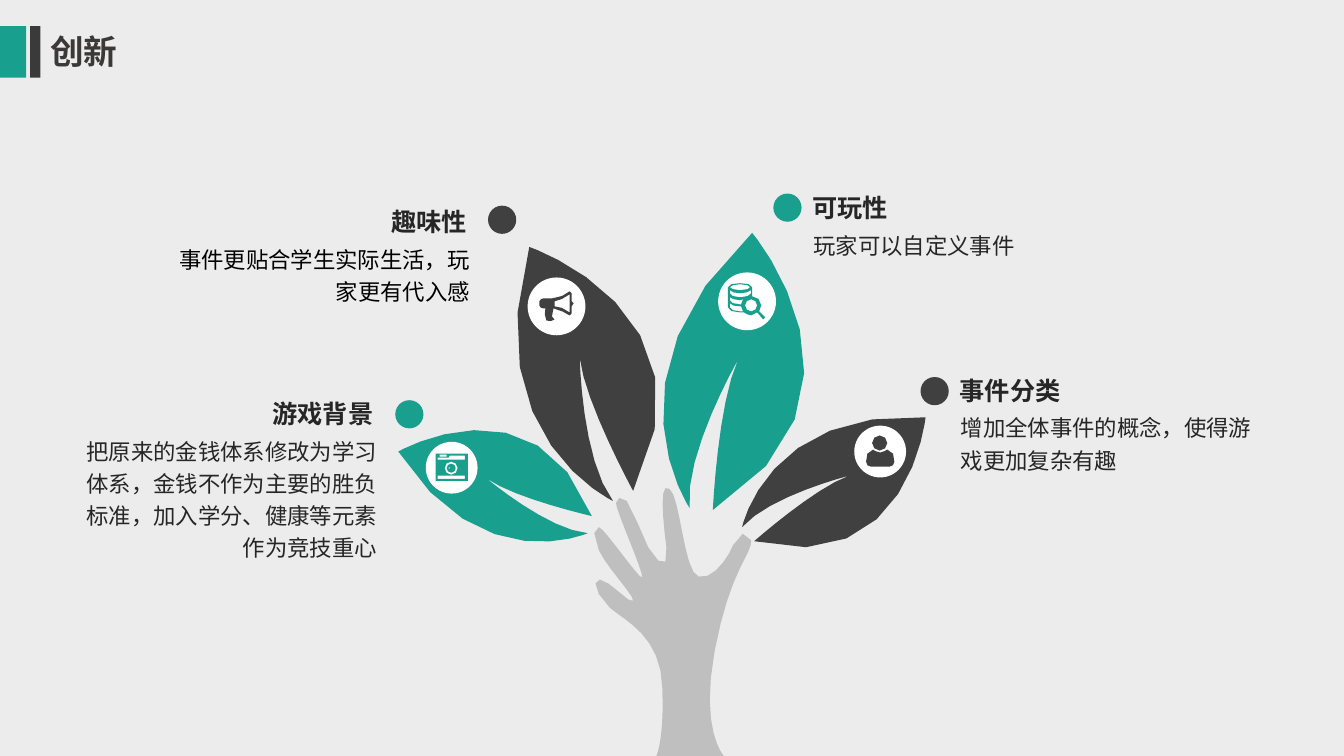
from math import dist
from lxml.etree import SubElement
from pptx import Presentation
from pptx.dml.color import RGBColor
from pptx.enum.shapes import MSO_SHAPE
from pptx.enum.text import MSO_AUTO_SIZE, PP_ALIGN
from pptx.oxml.ns import qn
from pptx.util import Pt

PX = 9144  # 100 px to the inch
FONT = "Noto Sans CJK SC"
BACKGROUND, TEAL, DARK, GREY, WHITE, INK = "ECECEC", "199F8E", "404040", "BFBFBF", "FFFFFF", "262626"
LEFT, RIGHT, JUSTIFY = PP_ALIGN.LEFT, PP_ALIGN.RIGHT, PP_ALIGN.JUSTIFY
TITLE_WIDTH, TITLE_HEIGHT, BODY_DROP, BODY_HEIGHT, DOT = 184, 40, 39, 55, 28

# An outline is a list of contours. A contour is a list of points:
# two numbers draw a straight line, six numbers a Bezier curve.


def box_contour(left, top, right, bottom):
    return [(left, top), (right, top), (right, bottom), (left, bottom)]


def circle_contour(left, top, size):
    r = size / 2
    x, y, k = left + r, top + r, r * 0.55
    return [(x, y - r), (x + k, y - r, x + r, y - k, x + r, y), (x + r, y + k, x + k, y + r, x, y + r),
            (x - k, y + r, x - r, y + k, x - r, y), (x - r, y - k, x - k, y - r, x, y - r)]


HAND = [[
    (718, 750), (718, 750, 694, 725, 709, 645), (724, 565, 747, 548, 745, 536),
    (743, 524, 731, 529, 727, 541), (723, 552, 707, 576, 693, 572), (678, 568, 675, 492, 664, 485),
    (654, 477, 657, 512, 661, 543), (665, 573, 645, 556, 633, 520), (620, 483, 612, 494, 611, 499),
    (610, 504, 639, 569, 637, 573), (635, 576, 598, 522, 594, 523), (591, 525, 585, 529, 594, 546),
    (602, 563, 630, 592, 628, 596), (626, 601, 604, 575, 595, 575), (587, 574, 590, 589, 605, 603),
    (620, 616, 656, 631, 657, 683), (659, 734, 651, 750, 651, 750)]]
LEAVES = [
    (DARK, [[(736, 523), (736, 523, 761, 405, 918, 414), (918, 414, 902, 576, 748, 537),
             (748, 537, 808, 484, 842, 472), (842, 472, 763, 492, 736, 523)]]),
    (TEAL, [[(583, 529), (583, 529, 477, 576, 395, 448), (395, 448, 531, 370, 587, 512),
             (587, 512, 512, 495, 483, 475), (483, 475, 544, 526, 583, 529)]]),
    (TEAL, [[(684, 504), (684, 504, 594, 373, 746, 231), (746, 231, 885, 395, 707, 506),
             (707, 506, 712, 400, 732, 357), (732, 357, 678, 451, 684, 504)]]),
    (DARK, [[(608, 497), (608, 497, 472, 434, 525, 245), (525, 245, 718, 310, 628, 487),
             (628, 487, 580, 399, 575, 355), (575, 355, 577, 456, 608, 497)]]),
]
SEARCH_DATA = [
    [(759, 315), (753, 309), (755, 303), (755, 298, 751, 294, 746, 294), (746, 285),
     (746, 282, 740, 281, 734, 281), (728, 281, 722, 282, 722, 285), (722, 305),
     (722, 308, 727, 310, 734, 310), (738, 310), (740, 311, 742, 313, 745, 313), (751, 310), (757, 317)],
    circle_contour(739, 297, 12),
    [(734, 282), (741, 282, 744, 284, 744, 285), (744, 286, 741, 288, 734, 288),
     (728, 288, 724, 286, 724, 285), (724, 284, 728, 282, 734, 282)],
    [(724, 288), (725, 290, 730, 291, 734, 291), (738, 291, 743, 290, 745, 288), (745, 291),
     (745, 293, 740, 295, 734, 295), (728, 295, 724, 293, 724, 291)],
    [(724, 295), (725, 296, 729, 298, 734, 298), (737, 297), (735, 302), (734, 302),
     (728, 302, 724, 300, 724, 298)],
    [(734, 309), (728, 309, 724, 307, 724, 305), (724, 301), (725, 303, 729, 304, 734, 304),
     (735, 304), (737, 309)],
]
PERSON = [
    [(882, 463), (864, 463), (861, 463, 859, 461, 859, 458), (859, 453, 860, 446, 866, 446),
     (866, 446, 869, 449, 873, 449), (877, 449, 879, 446, 880, 446),
     (886, 446, 887, 453, 887, 458), (887, 461, 885, 463, 882, 463)],
    circle_contour(865, 432, 15),
]
MEGAPHONE = [
    [(569, 301), (567, 304), (567, 311), (565, 313), (561, 311, 556, 307, 549, 306), (548, 311),
     (546, 313, 548, 315, 550, 317), (549, 319, 544, 319, 542, 318), (541, 314, 539, 310, 541, 306),
     (539, 306), (537, 306, 535, 305, 535, 303), (535, 299), (535, 298, 537, 296, 539, 296),
     (548, 296), (555, 296, 561, 292, 565, 289), (567, 291), (567, 299)],
    [(565, 292), (560, 296, 555, 298, 550, 299), (550, 304), (555, 304, 560, 306, 565, 310)],
]
CAMERA = [
    box_contour(432, 450, 464, 477),
    [(461, 456), (461, 452), (446, 452), (445, 454), (434, 454), (434, 456)],
    box_contour(434, 472, 461, 475),
    box_contour(436, 451, 443, 453),
    circle_contour(441, 458, 13),
    circle_contour(443, 460, 9),
    [(448, 462), (445, 464), (445, 465), (446, 465), (446, 464)],
]
# badge left, top, size, icon colour, icon outline
BADGES = [
    (713, 271, 56, TEAL, SEARCH_DATA),
    (848, 423, 50, DARK, PERSON),
    (524, 276, 56, DARK, MEGAPHONE),
    (423, 439, 50, TEAL, CAMERA),
]
# title, title left, title top, dot left, dot top, dot colour, body left, body width, alignment, body colour, body
TOPICS = [
    ("可玩性", 796, 186, 767, 192, TEAL, 807, 301, LEFT, INK, "玩家可以自定义事件"),
    ("趣味性", 289, 200, 484, 204, DARK, 169, 297, RIGHT, "000000", "事件更贴合学生实际生活，玩家更有代入感"),
    ("事件分类", 942, 367, 913, 374, DARK, 953, 301, LEFT, INK, "增加全体事件的概念，使得游戏更加复杂有趣"),
    ("游戏背景", 196, 390, 392, 397, TEAL, 71, 303, RIGHT, INK,
     "把原来的金钱体系修改为学习体系，金钱不作为主要的胜负标准，加入学分、健康等元素作为竞技重心"),
]


def rgb(color):
    return RGBColor.from_string(color)


def paint(shape, color, outlined=False):
    shape.shadow.inherit = False
    shape.fill.solid()
    shape.fill.fore_color.rgb = rgb(color)
    if outlined:
        shape.line.color.rgb = rgb(color)
        shape.line.width = Pt(1)
    else:
        shape.line.fill.background()


def add_preset(page, kind, left, top, width, height, color, outlined=False):
    shape = page.shapes.add_shape(kind, left * PX, top * PX, width * PX, height * PX)
    paint(shape, color, outlined)


def flatten(contour):
    """Turn a contour into EMU points, with more samples on longer curves."""
    points = [contour[0]]
    for segment in contour[1:]:
        if len(segment) == 2:
            points.append(segment)
            continue
        x0, y0 = points[-1]
        x1, y1, x2, y2, x3, y3 = segment
        steps = max(2, min(8, round(dist((x0, y0), (x3, y3)) / 10)))
        for step in range(1, steps + 1):
            t = step / steps
            a, b, c, d = (1 - t) ** 3, 3 * t * (1 - t) ** 2, 3 * t * t * (1 - t), t ** 3
            points.append((a * x0 + b * x1 + c * x2 + d * x3, a * y0 + b * y1 + c * y2 + d * y3))
    return [(round(x * PX), round(y * PX)) for x, y in points]


def add_outline(page, contours, color):
    builder = None
    for contour in contours:
        start, *rest = flatten(contour)
        if builder is None:
            builder = page.shapes.build_freeform(*start)
        else:
            builder.move_to(*start)
        builder.add_line_segments(rest, close=True)
    paint(builder.convert_to_shape(), color)


def add_text(page, left, top, width, height, text, size, color, align, heading=True):
    """Headings are bold and keep the default insets; body text has none."""
    box = page.shapes.add_textbox(left * PX, top * PX, width * PX, height * PX)
    frame = box.text_frame
    frame.word_wrap = True
    para = frame.paragraphs[0]
    para.alignment = align
    if heading:
        frame.auto_size = MSO_AUTO_SIZE.SHAPE_TO_FIT_TEXT
    else:
        frame.margin_left = frame.margin_top = frame.margin_right = frame.margin_bottom = 0
        para.line_spacing = 1.2
        para.space_after = Pt(6)
    span = para.add_run()
    span.text = text
    span.font.size = Pt(size)
    span.font.bold = heading
    span.font.color.rgb = rgb(color)
    span.font.name = FONT
    SubElement(span.font._element, qn("a:ea"), typeface=FONT)


def main():
    deck = Presentation()
    deck.slide_width, deck.slide_height = 1333 * PX, 750 * PX
    page = deck.slides.add_slide(deck.slide_layouts[6])
    page.background.fill.solid()
    page.background.fill.fore_color.rgb = rgb(BACKGROUND)

    add_preset(page, MSO_SHAPE.RECTANGLE, 0, 26, 26, 51, TEAL)
    add_preset(page, MSO_SHAPE.RECTANGLE, 30, 26, 10, 51, "3A3A3A")
    add_text(page, 40, 26, 96, 50, "创新", 24, "3B3838", JUSTIFY)

    add_outline(page, HAND, GREY)
    for color, leaf in LEAVES:
        add_outline(page, leaf, color)
    for left, top, size, color, icon in BADGES:
        add_preset(page, MSO_SHAPE.OVAL, left, top, size, size, WHITE, outlined=True)
        add_outline(page, icon, color)
    for title, left, top, dot_left, dot_top, dot_color, body_left, body_width, align, ink, body in TOPICS:
        add_preset(page, MSO_SHAPE.OVAL, dot_left, dot_top, DOT, DOT, dot_color)
        add_text(page, left, top, TITLE_WIDTH, TITLE_HEIGHT, title, 18, INK, align)
        add_text(page, body_left, top + BODY_DROP, body_width, BODY_HEIGHT, body, 16, ink, align, heading=False)

    deck.save("out.pptx")


if __name__ == "__main__":
    main()
